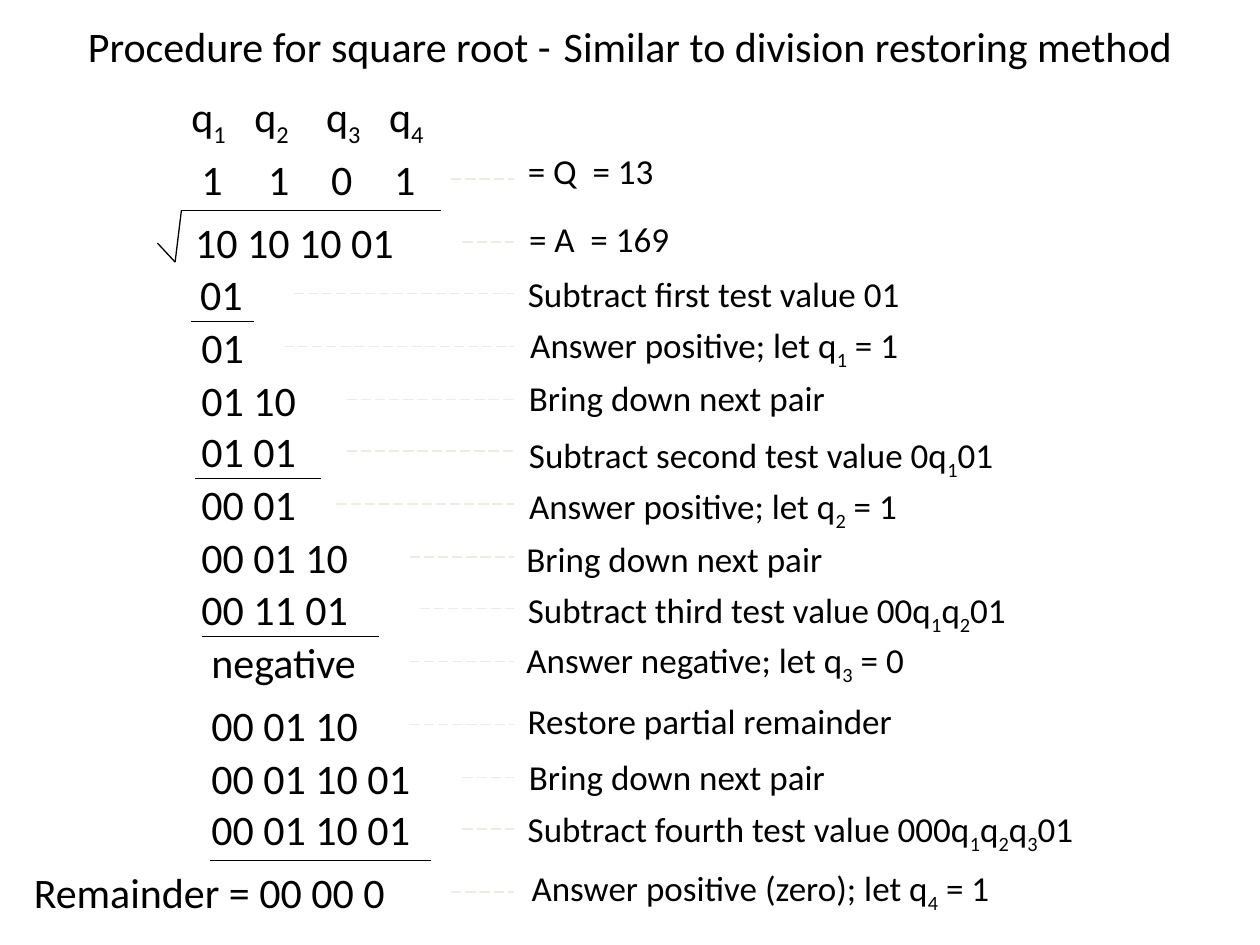
from dataclasses import dataclass
from itertools import pairwise

from lxml.etree import SubElement
from pptx import Presentation
from pptx.dml.color import RGBColor
from pptx.enum.dml import MSO_LINE
from pptx.enum.shapes import MSO_CONNECTOR
from pptx.enum.text import MSO_ANCHOR, MSO_AUTO_SIZE, PP_ALIGN
from pptx.oxml.ns import qn
from pptx.shapes.shapetree import GroupShapes, SlideShapes
from pptx.text.text import _Paragraph
from pptx.util import Inches, Pt

INK = RGBColor(0x00, 0x00, 0x00)
LEADER = RGBColor(0xEE, 0xEC, 0xE1)
FONT = "Calibri"
WORKING_SIZE = 24
NOTE_SIZE = 20
LEADER_END = 4.08


@dataclass(frozen=True)
class Label:
    text: str
    left: float
    top: float
    width: float


@dataclass(frozen=True)
class Step:
    working: Label
    note: Label
    leader_start: float


@dataclass(frozen=True)
class Underline:
    left: float
    right: float
    y: float


DIGITS = [
    Label("1", 1.5, 1.17, 0.39),
    Label("1", 2.03, 1.17, 0.39),
    Label("0", 2.53, 1.17, 0.39),
]
ROOT_LEFTS = [1.42, 1.92, 2.49, 2.99]
STEPS = [
    Step(Label("1", 3.03, 1.17, 0.39), Label("= Q  = 13", 4.09, 1.14, 1.35), 3.58),
    Step(Label("10 10 10 01", 1.45, 1.67, 1.96), Label("= A  = 169", 4.1, 1.68, 1.48), 3.67),
    Step(Label("01", 1.49, 2.08, 0.57), Label("Subtract first test value 01", 4.09, 2.11, 3.41), 2.33),
    Step(Label("01", 1.5, 2.5, 0.57), Label("Answer positive; let q_1 = 1", 4.11, 2.52, 3.39), 2.25),
    Step(Label("01 10", 1.5, 2.92, 1.04), Label("Bring down next pair", 4.1, 2.94, 2.73), 2.75),
    Step(Label("01 01", 1.5, 3.33, 1.04), Label("Subtract second test value 0q_101", 4.1, 3.39, 4.27), 2.75),
    Step(Label("00 01", 1.5, 3.75, 1.04), Label("Answer positive; let q_2 = 1", 4.1, 3.8, 3.39), 2.67),
    Step(Label("00 01 10", 1.5, 4.17, 1.5), Label("Bring down next pair", 4.08, 4.22, 2.73), 3.25),
    Step(Label("00 11 01", 1.5, 4.58, 1.5), Label("Subtract third test value 00q_1q_201", 4.09, 4.62, 4.32), 3.33),
    Step(Label("negative", 1.58, 5, 1.46), Label("Answer negative; let q_3 = 0", 4.08, 5.02, 3.5), 3.25),
    Step(Label("00 01 10", 1.58, 5.5, 1.5), Label("Restore partial remainder", 4.09, 5.5, 3.33), 3.25),
    Step(Label("00 01 10 01", 1.58, 5.92, 1.96), Label("Bring down next pair", 4.1, 5.95, 2.73), 3.67),
    Step(Label("00 01 10 01", 1.58, 6.33, 1.96), Label("Subtract fourth test value 000q_1q_2q_301", 4.09, 6.36, 4.9), 3.67),
    Step(Label("Remainder = 00 00 0", 0.17, 6.83, 3.33), Label("Answer positive (zero); let q_4 = 1", 4.12, 6.83, 4.19), 3.58),
]
UNDERLINES = [
    Underline(1.52, 2.02, 2.55),
    Underline(1.55, 2.55, 3.8),
    Underline(1.6, 3.01, 5.05),
    Underline(1.67, 3.42, 6.83),
]
RADICAL = [(1.25, 1.93), (1.39, 2.08), (1.44, 1.67), (3.5, 1.67)]
TITLE_PARTS = [
    ("Procedure for square root -", 24),
    (" ", 32),
    ("Similar to division restoring method", 24),
]


def add_text(paragraph: _Paragraph, text: str, size: float, subscript: bool = False) -> None:
    run = paragraph.add_run()
    run.text = text
    run.font.name = FONT
    run.font.size = Pt(size)
    run.font.color.rgb = INK
    if subscript:
        run.font._element.set("baseline", "-25000")


def draw_label(shapes: SlideShapes, label: Label, size: float) -> None:
    height = 0.5 if size == WORKING_SIZE else 0.43
    box = shapes.add_textbox(
        Inches(label.left), Inches(label.top), Inches(label.width), Inches(height)
    )
    frame = box.text_frame
    frame.word_wrap = False
    frame.auto_size = MSO_AUTO_SIZE.SHAPE_TO_FIT_TEXT
    paragraph = frame.paragraphs[0]
    first, *rest = label.text.split("_")
    add_text(paragraph, first, size)
    for part in rest:
        add_text(paragraph, part[0], size, subscript=True)
        if part[1:]:
            add_text(paragraph, part[1:], size)


def draw_line(
    shapes: SlideShapes | GroupShapes,
    start: tuple[float, float],
    end: tuple[float, float],
    color: RGBColor = INK,
    dash: MSO_LINE | None = None,
) -> None:
    line = shapes.add_connector(
        MSO_CONNECTOR.STRAIGHT, *(Inches(value) for value in (*start, *end))
    )
    line.line.color.rgb = color
    line.line.width = Pt(0.75)
    if dash is not None:
        line.line.dash_style = dash
    SubElement(line._element.spPr, qn("a:effectLst"))


def draw_title(shapes: SlideShapes) -> None:
    title = shapes.title
    title.left, title.top = Inches(0), Inches(-0.03)
    title.width, title.height = Inches(10), Inches(0.7)
    title.text_frame.vertical_anchor = MSO_ANCHOR.MIDDLE
    paragraph = title.text_frame.paragraphs[0]
    paragraph.alignment = PP_ALIGN.CENTER
    for text, size in TITLE_PARTS:
        add_text(paragraph, text, size)


def main() -> None:
    presentation = Presentation()
    presentation.slide_width = Inches(10)
    presentation.slide_height = Inches(7.5)
    shapes = presentation.slides.add_slide(presentation.slide_layouts[5]).shapes

    draw_title(shapes)
    radical = shapes.add_group_shape()
    for start, end in pairwise(RADICAL):
        draw_line(radical.shapes, start, end)
    for number, left in enumerate(ROOT_LEFTS, 1):
        draw_label(shapes, Label(f"q_{number}", left, 0.67, 0.51), WORKING_SIZE)
    for digit in DIGITS:
        draw_label(shapes, digit, WORKING_SIZE)
    for step in STEPS:
        draw_label(shapes, step.working, WORKING_SIZE)
        draw_label(shapes, step.note, NOTE_SIZE)
        y = step.working.top + 0.25
        draw_line(shapes, (step.leader_start, y), (LEADER_END, y), LEADER, MSO_LINE.LONG_DASH)
    for underline in UNDERLINES:
        draw_line(shapes, (underline.left, underline.y), (underline.right, underline.y))

    presentation.save("out.pptx")


main()
